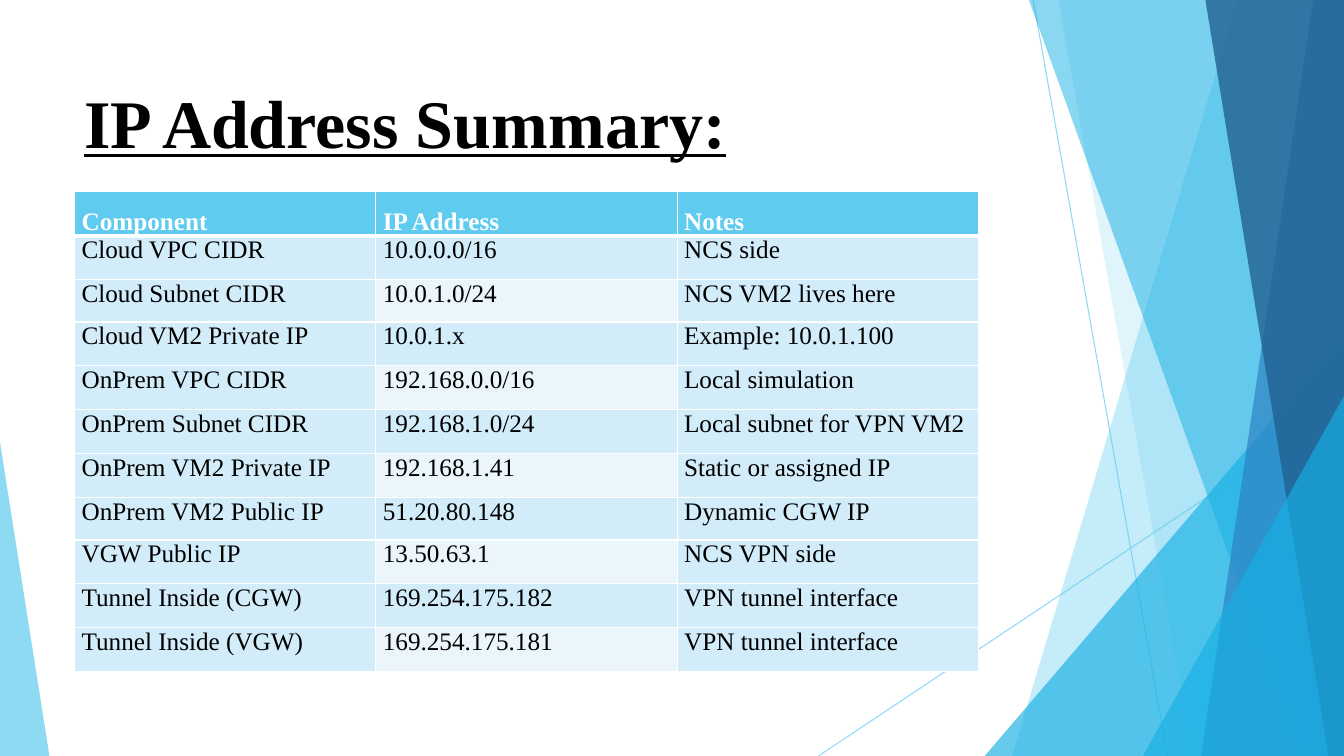
from lxml import etree
from pptx import Presentation
from pptx.dml.color import RGBColor
from pptx.enum import shapes, text
from pptx.oxml import ns
from pptx.util import Pt

WIDTH, HEIGHT = 960, 540
FONT = "Times New Roman"
COLORS = {
    "sky": "5FCBEF", "cyan": "17B0E4", "blue": "2E83C3", "navy": "226292",
    "row": "D2ECF9", "pale": "EAF6FC", "white": "FFFFFF", "black": "000000",
}


def paint(fill, color, opacity=100):
    """Give a fill a solid colour with an opacity in percent."""
    fill.solid()
    fill.fore_color.rgb = RGBColor.from_string(COLORS[color])
    if opacity < 100:
        color_element = fill._xPr.find(ns.qn("a:solidFill"))[0]
        etree.SubElement(color_element, ns.qn("a:alpha"), val=str(opacity * 1000))


def add_run(paragraph, words, size, color, bold=False):
    run = paragraph.add_run()
    run.text = words
    run.font.name = FONT
    run.font.size = Pt(size)
    run.font.bold = bold
    run.font.color.rgb = RGBColor.from_string(COLORS[color])
    return run


presentation = Presentation()
presentation.slide_width, presentation.slide_height = Pt(WIDTH), Pt(HEIGHT)
slide = presentation.slides.add_slide(presentation.slide_layouts[6])

# Thin lines behind the facets
for ends in [(738, 0, 834, HEIGHT), (WIDTH, 290, 584.6, HEIGHT)]:
    line = slide.shapes.add_connector(shapes.MSO_CONNECTOR.STRAIGHT, *map(Pt, ends))
    line.line.width = Pt(0.75)
    paint(line.line.fill, "sky", 70)
    etree.SubElement(line._element.spPr, ns.qn("a:effectLst"))

# Bands: x at top, x at bottom. Peaks: left, top, width, apex position
facets = [
    ("band", (884, 723), "sky", 36),
    ("band", (756, 852), "sky", 20),
    ("peak", (703.4, 239.8, 256.6, 1), "cyan", 66),
    ("band", (735, 929.5), "cyan", 50),
    ("band", (938, 858), "blue", 70),
    ("band", (861, 949), "navy", 80),
    ("peak", (816.5, 283, 143.5, 1), "cyan", 66),
    ("peak", (0, 316, 35.3, 0), "sky", 70),
]
for kind, geometry, color, opacity in facets:
    if kind == "band":
        top_x, bottom_x = geometry
        builder = slide.shapes.build_freeform(Pt(top_x), Pt(0))
        corners = [(WIDTH, 0), (WIDTH, HEIGHT), (bottom_x, HEIGHT)]
        builder.add_line_segments([(Pt(x), Pt(y)) for x, y in corners])
        shape = builder.convert_to_shape()
    else:
        left, top, width, apex = geometry
        shape = slide.shapes.add_shape(
            shapes.MSO_SHAPE.ISOSCELES_TRIANGLE,
            Pt(left), Pt(top), Pt(width), Pt(HEIGHT - top))
        shape.adjustments[0] = apex
    shape.shadow.inherit = False
    shape.line.fill.background()
    paint(shape.fill, color, opacity)

# Title
title = slide.shapes.add_textbox(Pt(53.3), Pt(48.2), Pt(676.8), Pt(103.7))
title.text_frame.word_wrap = True
title.text_frame.margin_top = Pt(9)
heading = add_run(title.text_frame.paragraphs[0], "IP Address Summary:", 48.6, "black", True)
heading.font.underline = True

# Address table
rows = [
    ("Component", "IP Address", "Notes"),
    ("Cloud VPC CIDR", "10.0.0.0/16", "NCS side"),
    ("Cloud Subnet CIDR", "10.0.1.0/24", "NCS VM2 lives here"),
    ("Cloud VM2 Private IP", "10.0.1.x", "Example: 10.0.1.100"),
    ("OnPrem VPC CIDR", "192.168.0.0/16", "Local simulation"),
    ("OnPrem Subnet CIDR", "192.168.1.0/24", "Local subnet for VPN VM2"),
    ("OnPrem VM2 Private IP", "192.168.1.41", "Static or assigned IP"),
    ("OnPrem VM2 Public IP", "51.20.80.148", "Dynamic CGW IP"),
    ("VGW Public IP", "13.50.63.1", "NCS VPN side"),
    ("Tunnel Inside (CGW)", "169.254.175.182", "VPN tunnel interface"),
    ("Tunnel Inside (VGW)", "169.254.175.181", "VPN tunnel interface"),
]
short_rows = (2, 7)
table = slide.shapes.add_table(
    len(rows), 3, Pt(53.3), Pt(137), Pt(645.6), Pt(343)).table
table.horz_banding = False
for column in table.columns:
    column.width = Pt(215.2)

for r, row in enumerate(rows):
    table.rows[r].height = Pt(30.2 if r in short_rows else 31.4)
    header = r == 0
    for c, words in enumerate(row):
        cell = table.cell(r, c)
        cell.margin_left = cell.margin_right = Pt(5)
        cell.margin_top = cell.margin_bottom = Pt(0)
        cell.vertical_anchor = text.MSO_ANCHOR.BOTTOM if header else text.MSO_ANCHOR.TOP
        paragraph = cell.text_frame.paragraphs[0]
        paragraph.space_before = paragraph.space_after = Pt(1.8)
        add_run(paragraph, words, 18, "white" if header else "black", header)

        for side in "LRTB":
            thick = (r, side) in [(0, "B"), (1, "T")]
            border = etree.SubElement(
                cell._tc.get_or_add_tcPr(), ns.qn(f"a:ln{side}"), w=str(Pt(3 if thick else 1)))
            border_fill = etree.SubElement(border, ns.qn("a:solidFill"))
            etree.SubElement(border_fill, ns.qn("a:srgbClr"), val=COLORS["white"])

        if header:
            paint(cell.fill, "sky")
        else:
            paint(cell.fill, "pale" if c == 1 and r % 2 == 0 else "row")

presentation.save("out.pptx")
